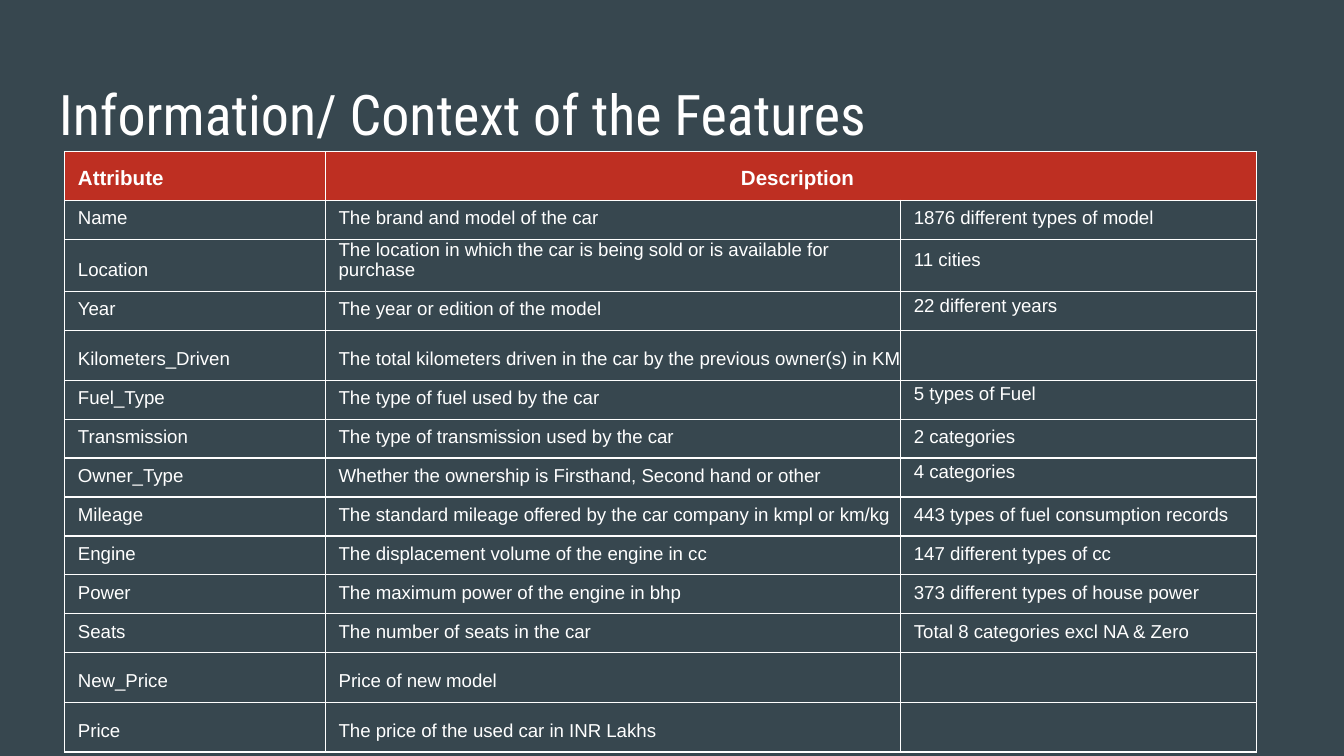
from lxml import etree
from pptx import Presentation
from pptx.dml.color import RGBColor
from pptx.enum import text
from pptx.oxml import ns
from pptx.util import Inches, Pt

TITLE = "Information/ Context of the Features"
HEADER = ("Attribute", "Description", None)
FEATURES = [
    ("Name", "The brand and model of the car", "1876 different types of model"),
    ("Location", "The location in which the car is being sold or is available for purchase", "11 cities"),
    ("Year", "The year or edition of the model", "22 different years"),
    ("Kilometers_Driven", "The total kilometers driven in the car by the previous owner(s) in KM", ""),
    ("Fuel_Type", "The type of fuel used by the car", "5 types of Fuel"),
    ("Transmission", "The type of transmission used by the car", "2 categories"),
    ("Owner_Type", "Whether the ownership is Firsthand, Second hand or other", "4 categories"),
    ("Mileage", "The standard mileage offered by the car company in kmpl or km/kg", "443 types of fuel consumption records"),
    ("Engine", "The displacement volume of the engine in cc", "147 different types of cc"),
    ("Power", "The maximum power of the engine in bhp", "373 different types of house power"),
    ("Seats", "The number of seats in the car", "Total 8 categories excl NA & Zero"),
    ("New_Price", "Price of new model", ""),
    ("Price", "The price of the used car in INR Lakhs", ""),
]
MIDDLE = {"11 cities", "22 different years", "5 types of Fuel", "4 categories"}
COLUMNS = (1.94, 4.28, 2.65)
HEADER_H, ROW_H, LAST_H = 0.36, 0.29, 0.33
BACKGROUND, RED, WHITE = "37474F", "BE2F22", "FFFFFF"


def color(value):
    return RGBColor.from_string(value)


def add_run(p, content, font, size, bold=False):
    r = p.add_run()
    r.text = content
    r.font.name = font
    r.font.size = Pt(size)
    r.font.bold = bold
    r.font.color.rgb = color(WHITE)


def add_borders(cell):
    tcPr = cell._tc.get_or_add_tcPr()
    for i, side in enumerate(("lnL", "lnR", "lnT", "lnB")):
        ln = etree.Element(ns.qn(f"a:{side}"), w=str(Pt(0.75)))
        fill = etree.SubElement(ln, ns.qn("a:solidFill"))
        etree.SubElement(fill, ns.qn("a:srgbClr"), val=WHITE)
        tcPr.insert(i, ln)


def fill_cell(cell, content, header):
    cell.margin_left = cell.margin_right = 0
    cell.margin_top = Inches(0 if content and not header else 0.1)
    cell.margin_bottom = Inches(0.08 if content else 0.1)
    anchor = text.MSO_ANCHOR
    cell.vertical_anchor = anchor.MIDDLE if content in MIDDLE else anchor.BOTTOM
    if header:
        cell.fill.solid()
        cell.fill.fore_color.rgb = color(RED)
    else:
        cell.fill.background()
    add_borders(cell)
    p = cell.text_frame.paragraphs[0]
    if content:
        p._p.get_or_add_pPr().set("marL", str(Inches(0.1)))
        add_run(p, content, "Arial", 11 if header else 10, header)
    else:
        etree.SubElement(p._p, ns.qn("a:endParaRPr"), sz="1000")
    if content == "Description":
        p.alignment = text.PP_ALIGN.CENTER


prs = Presentation()
prs.slide_width = Inches(10)
prs.slide_height = prs.slide_width * 9 // 16
s = prs.slides.add_slide(prs.slide_layouts[6])
s.background.fill.solid()
s.background.fill.fore_color.rgb = color(BACKGROUND)

heights = [HEADER_H] + [ROW_H] * (len(FEATURES) - 1) + [LAST_H]
frame = s.shapes.add_table(len(heights), len(COLUMNS), Inches(0.48), Inches(1.13),
                           Inches(sum(COLUMNS)), Inches(sum(heights)))
table = frame.table
table.horz_banding = table.first_row = False
for column, width in zip(table.columns, COLUMNS):
    column.width = Inches(width)
for row, height in zip(table.rows, heights):
    row.height = Inches(height)
table.cell(0, 1).merge(table.cell(0, 2))
for i, contents in enumerate([HEADER] + FEATURES):
    for j, content in enumerate(contents):
        fill_cell(table.cell(i, j), content, i == 0)

tf = s.shapes.add_textbox(Inches(0.34), Inches(0.49), Inches(9.32), Inches(0.63)).text_frame
tf.word_wrap = True
tf.margin_left = tf.margin_right = tf.margin_top = tf.margin_bottom = Inches(0.1)
add_run(tf.paragraphs[0], TITLE, "Roboto Condensed", 30)

prs.save("out.pptx")
